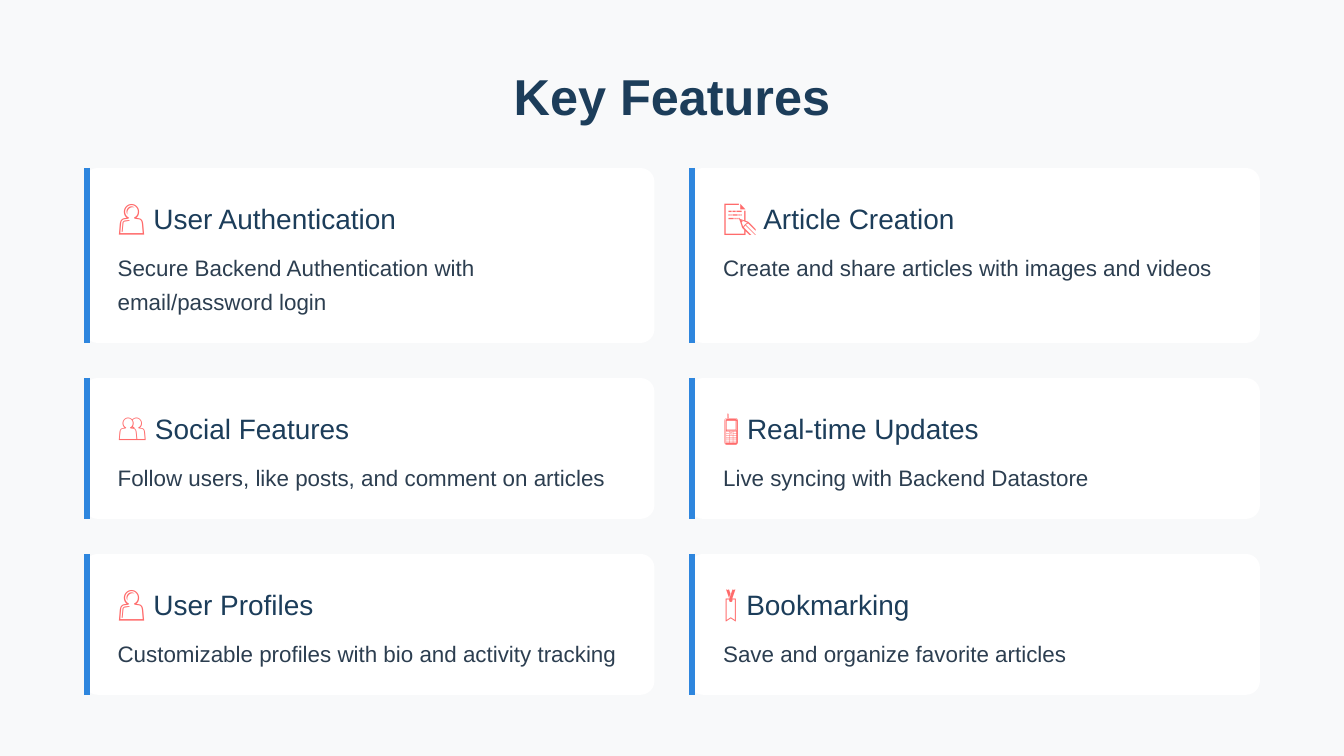
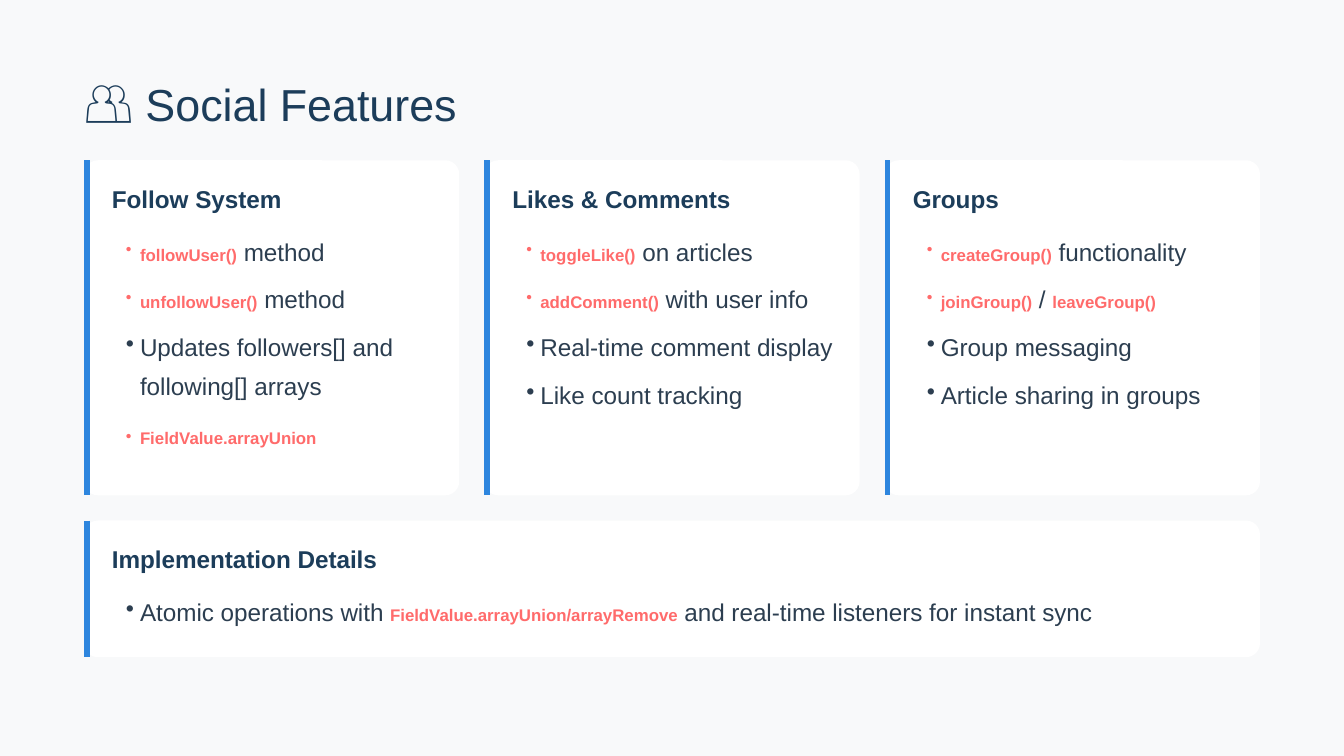
from lxml import etree
from pptx import Presentation
from pptx.dml.color import RGBColor
from pptx.enum.shapes import MSO_CONNECTOR, MSO_SHAPE
from pptx.enum.text import MSO_ANCHOR, MSO_AUTO_SIZE, PP_ALIGN
from pptx.oxml.ns import qn
from pptx.util import Pt

LEFT, CENTER = PP_ALIGN.LEFT, PP_ALIGN.CENTER
TOP, NO_FIT = MSO_ANCHOR.TOP, MSO_AUTO_SIZE.NONE
ROUND_RECT, STRAIGHT = MSO_SHAPE.ROUNDED_RECTANGLE, MSO_CONNECTOR.STRAIGHT

# Shared style
FONT = "Arial"
COLORS = {
    "background": "F8F9FA",
    "card": "FFFFFF",
    "bar": "2E86DE",
    "heading": "1C3D5A",
    "body": "2C3E50",
    "accent": "FF6B6B",
}
MARGIN, CONTENT_W = 45, 630
RADIUS, BAR_W, BULLET_INDENT = 7.5, 3, 7.5
TITLE_ONLY = 5

# Run styles: size, colour, bold
STYLES = {
    "title": (27, "heading", True),
    "title_icon": (30, "heading", True),
    "icon_title": (24, "heading", False),
    "icon": (18, "accent", True),
    "feature": (15, "heading", False),
    "description": (12, "body", False),
    "card_heading": (13, "heading", True),
    "bullet": (13, "body", False),
    "code": (9, "accent", True),
}

# Slide 1: rows of (icon, heading, description)
FEATURE_ROWS = [
    [("👤", "User Authentication",
      "Secure Backend Authentication with email/password login"),
     ("📝", "Article Creation",
      "Create and share articles with images and videos")],
    [("👥", "Social Features",
      "Follow users, like posts, and comment on articles"),
     ("📱", "Real-time Updates", "Live syncing with Backend Datastore")],
    [("👤", "User Profiles",
      "Customizable profiles with bio and activity tracking"),
     ("🔖", "Bookmarking", "Save and organize favorite articles")],
]
FEATURE_ROW_HEIGHTS = [93.75, 75.5, 75.5]

# Slide 2: backticks enclose code
SOCIAL_CARDS = [
    ("Follow System", ["`followUser()` method",
                       "`unfollowUser()` method",
                       "Updates followers[] and following[] arrays",
                       "`FieldValue.arrayUnion`"]),
    ("Likes & Comments", ["`toggleLike()` on articles",
                          "`addComment()` with user info",
                          "Real-time comment display",
                          "Like count tracking"]),
    ("Groups", ["`createGroup()` functionality",
                "`joinGroup()` / `leaveGroup()`",
                "Group messaging",
                "Article sharing in groups"]),
]
IMPLEMENTATION = ("Implementation Details", [
    "Atomic operations with `FieldValue.arrayUnion/arrayRemove`"
    " and real-time listeners for instant sync"])


def rgb(name):
    return RGBColor.from_string(COLORS[name])


def set_attrs(obj, values):
    for name, value in values.items():
        setattr(obj, name, value)


def place(sp, x, y, w, h):
    set_attrs(sp, {"left": Pt(x), "top": Pt(y), "width": Pt(w), "height": Pt(h)})


def format_frame(tf, left_inset=0):
    set_attrs(tf, {
        "margin_left": Pt(left_inset), "margin_top": 0,
        "margin_right": 0, "margin_bottom": 0,
        "word_wrap": True, "auto_size": NO_FIT, "vertical_anchor": TOP,
    })


def fill_paragraph(p, runs, spacing, after=0, align=LEFT):
    set_attrs(p, {"line_spacing": Pt(spacing), "space_before": Pt(0),
                  "space_after": Pt(after), "alignment": align})
    for text, style in runs:
        size, color, bold = STYLES[style]
        r = p.add_run()
        r.text = text
        set_attrs(r.font, {"name": FONT, "size": Pt(size), "bold": bold})
        r.font.color.rgb = rgb(color)


def add_title(s, runs, box, spacing, align=LEFT):
    sp = s.shapes.title
    place(sp, *box)
    format_frame(sp.text_frame)
    fill_paragraph(sp.text_frame.paragraphs[0], runs, spacing, align=align)


def add_text(s, runs, box, spacing):
    tf = s.shapes.add_textbox(*map(Pt, box)).text_frame
    format_frame(tf)
    fill_paragraph(tf.paragraphs[0], runs, spacing)


def split_code(text):
    parts = enumerate(text.split("`"))
    return [(part, "code" if i % 2 else "bullet") for i, part in parts if part]


def add_bullet(p, color):
    pPr = p._p.get_or_add_pPr()
    pPr.set("marL", str(Pt(BULLET_INDENT)))
    pPr.set("indent", str(-Pt(BULLET_INDENT)))
    clr = etree.SubElement(pPr, qn("a:buClr"))
    etree.SubElement(clr, qn("a:srgbClr")).set("val", COLORS[color])
    etree.SubElement(pPr, qn("a:buChar")).set("char", "•")


def add_bullets(s, items, box):
    tf = s.shapes.add_textbox(*map(Pt, box)).text_frame
    format_frame(tf, BULLET_INDENT)
    for i, item in enumerate(items):
        p = tf.add_paragraph() if i else tf.paragraphs[0]
        runs = split_code(item)
        add_bullet(p, STYLES[runs[0][1]][1])
        fill_paragraph(p, runs, 21, after=4.5)


def add_card(s, x, y, w, h):
    # White panel
    sp = s.shapes.add_shape(ROUND_RECT, Pt(x), Pt(y), Pt(w), Pt(h))
    sp.shadow.inherit = False
    sp.adjustments[0] = RADIUS / min(w, h)
    sp.fill.solid()
    sp.fill.fore_color.rgb = rgb("card")
    sp.line.fill.background()
    # Bar along the left edge
    bar_x = Pt(x + BAR_W / 2)
    bar = s.shapes.add_connector(STRAIGHT, bar_x, Pt(y), bar_x, Pt(y + h))
    bar.line.width = Pt(BAR_W)
    bar.line.color.rgb = rgb("bar")
    etree.SubElement(bar._element.spPr, qn("a:effectLst"))


def add_feature_card(s, feature, x, y, w, h):
    icon, heading, description = feature
    add_card(s, x, y, w, h)
    text_x, text_w = x + 18, 278
    add_text(s, [(icon, "icon"), (" " + heading, "feature")],
             (text_x, y + 15, text_w, 21.6), 21.6)
    add_text(s, [(description, "description")],
             (text_x, y + 42.5, text_w, h - 57.5), 18)


def add_bullet_card(s, content, x, y, w, h):
    heading, items = content
    add_card(s, x, y, w, h)
    text_x, text_w = x + 15, w - 26.5
    add_text(s, [(heading, "card_heading")], (text_x, y + 12, text_w, 16.2), 16.2)
    add_bullets(s, items, (text_x, y + 35.7, text_w, h - 47.7))


def build_key_features(prs):
    s = prs.slides.add_slide(prs.slide_layouts[TITLE_ONLY])
    add_title(s, [("Key Features", "title")], (199, 37.5, 322, 30), 30, CENTER)
    gap = 18.75
    w = (CONTENT_W - gap) / 2
    y = 90
    for row, h in zip(FEATURE_ROWS, FEATURE_ROW_HEIGHTS):
        for col, feature in enumerate(row):
            add_feature_card(s, feature, MARGIN + col * (w + gap), y, w, h)
        y += h + gap


def build_social_features(prs):
    s = prs.slides.add_slide(prs.slide_layouts[TITLE_ONLY])
    add_title(s, [("👥", "title_icon"), (" Social Features", "icon_title")],
              (MARGIN, 37.5, 322, 33.4), 33.4)
    gap, y, h = 13.5, 85.9, 179.5
    w = (CONTENT_W - 2 * gap) / 3
    for col, content in enumerate(SOCIAL_CARDS):
        add_bullet_card(s, content, MARGIN + col * (w + gap), y, w, h)
    add_bullet_card(s, IMPLEMENTATION, MARGIN, y + h + gap, CONTENT_W, 73.2)


def main():
    prs = Presentation()
    prs.slide_width, prs.slide_height = Pt(720), Pt(405)
    fill = prs.slide_master.background.fill
    fill.solid()
    fill.fore_color.rgb = rgb("background")
    build_key_features(prs)
    build_social_features(prs)
    prs.save("out.pptx")


if __name__ == "__main__":
    main()
